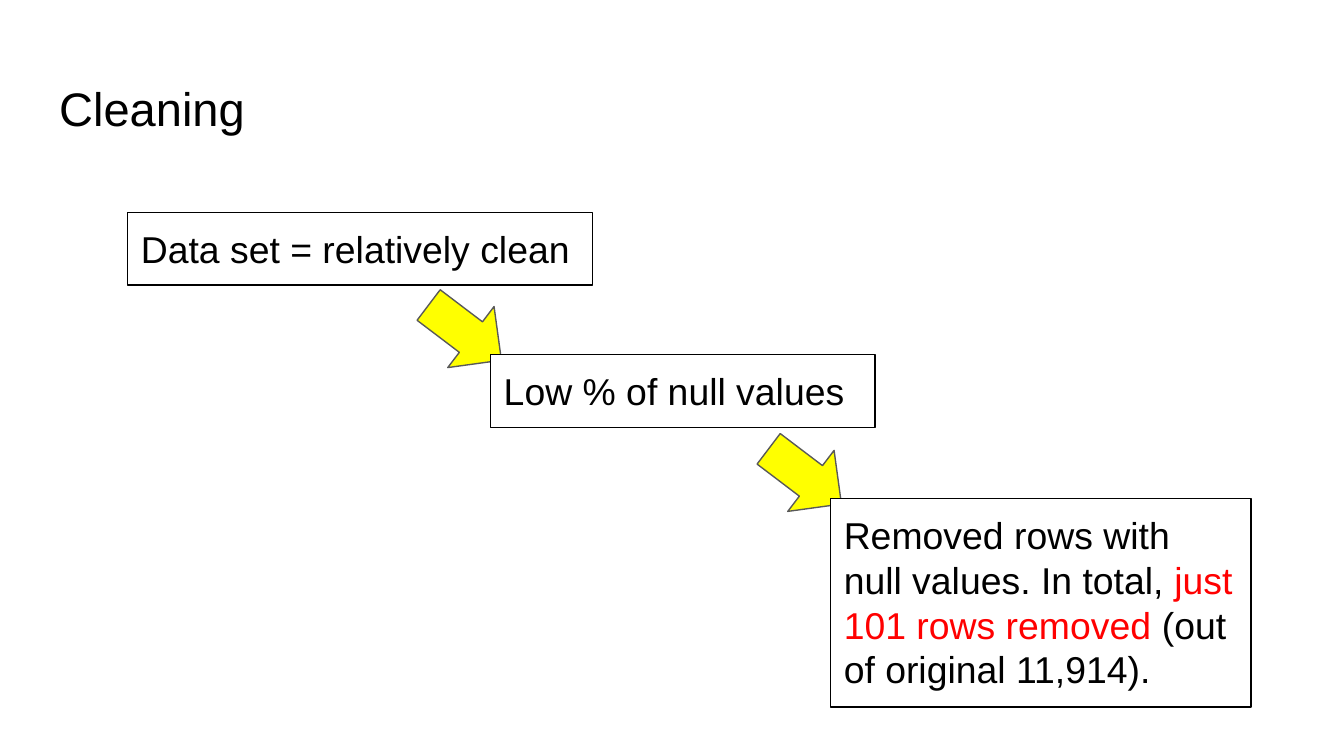
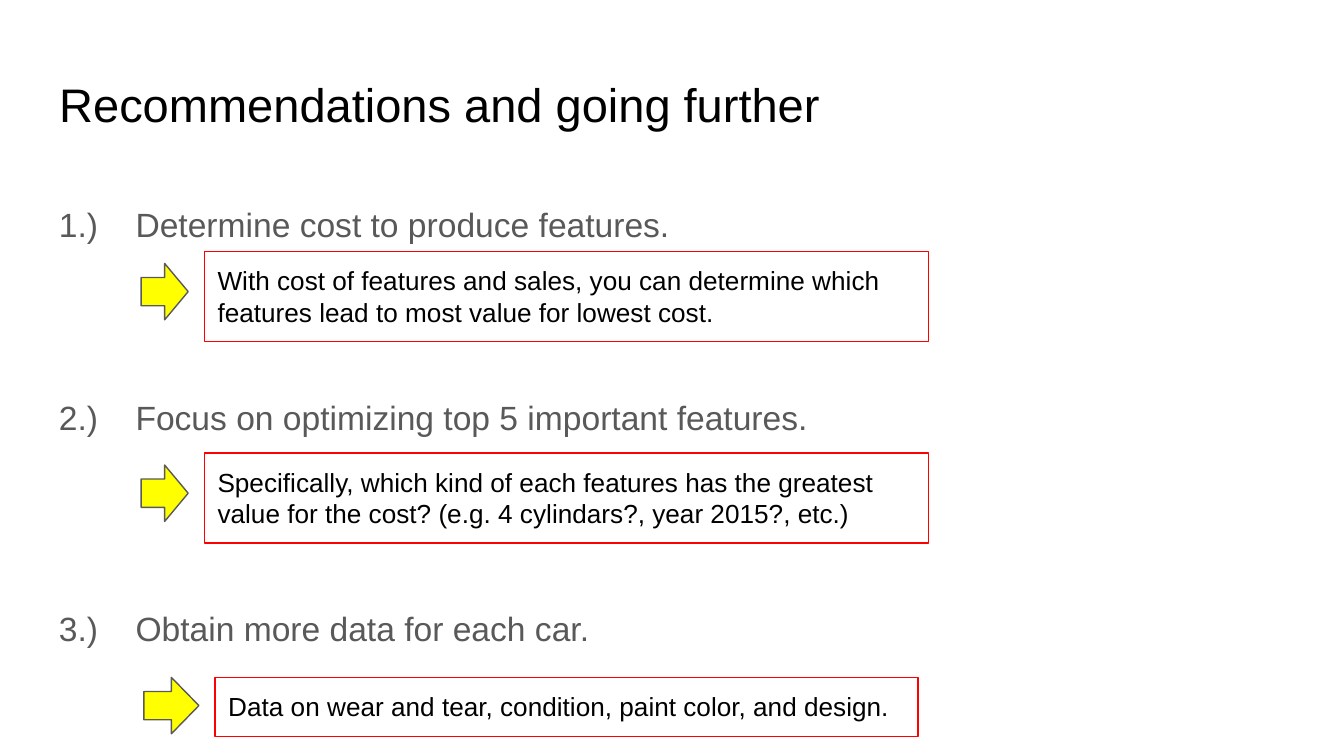
import pptx
import pptx.util
import pptx.dml.color
import pptx.enum.shapes
import pptx.enum.text

Inches = pptx.util.Inches
Pt = pptx.util.Pt
SHAPE = pptx.enum.shapes.MSO_SHAPE
ANCHOR = pptx.enum.text.MSO_ANCHOR
ALIGN = pptx.enum.text.PP_ALIGN

FONT = "Arial"
COLOURS = {
    "paper": "FFFFFF",
    "ink": "000000",
    "grey": "595959",
    "accent": "FF0000",
    "arrow": "FFFF00",
}
MARGIN = 0.34
INSET = 0.1
NUMBER_WIDTH = 0.57


def colour(name):
    """Return the named palette colour."""
    return pptx.dml.color.RGBColor.from_string(COLOURS[name])


def style_run(run, size, ink):
    """Give a run the deck font, a size and a colour."""
    run.font.name = FONT
    run.font.size = Pt(size)
    run.font.color.rgb = colour(ink)


def prepare_frame(frame, anchor=ANCHOR.TOP):
    """Apply the shared insets, wrapping and anchor to a text frame."""
    frame.word_wrap = True
    frame.auto_size = pptx.enum.text.MSO_AUTO_SIZE.NONE
    frame.vertical_anchor = anchor
    frame.margin_left = frame.margin_right = Inches(INSET)
    frame.margin_top = frame.margin_bottom = Inches(INSET)


def add_titled_slide(deck, text, top):
    """Add a title-only slide with its title at the given height."""
    slide = deck.slides.add_slide(deck.slide_layouts[5])
    slide.background.fill.solid()
    slide.background.fill.fore_color.rgb = colour("paper")
    title = slide.shapes.title
    title.left, title.top = Inches(MARGIN), Inches(top)
    title.width, title.height = Inches(9.32), Inches(0.63)
    title.text_frame.text = text
    prepare_frame(title.text_frame, ANCHOR.MIDDLE)
    paragraph = title.text_frame.paragraphs[0]
    paragraph.alignment = ALIGN.LEFT
    style_run(paragraph.runs[0], 25.2, "ink")
    return slide


def add_outlined(shapes, kind, box, line, fill=None):
    """Add a shape with a thin outline and an optional fill."""
    shape = shapes.add_shape(kind, *map(Inches, box))
    shape.shadow.inherit = False
    shape.line.color.rgb = colour(line)
    shape.line.width = Pt(0.75)
    if fill:
        shape.fill.solid()
        shape.fill.fore_color.rgb = colour(fill)
    else:
        shape.fill.background()
    return shape


def add_arrow(shapes, box, rotation=0):
    """Add a yellow arrow pointing right, turned by the rotation."""
    arrow = add_outlined(shapes, SHAPE.RIGHT_ARROW, box, "grey", "arrow")
    arrow.rotation = rotation


def add_note(shapes, box, pieces, size, line, fill=None):
    """Add a framed note built from (text, colour) pieces."""
    note = add_outlined(shapes, SHAPE.RECTANGLE, box, line, fill)
    prepare_frame(note.text_frame)
    paragraph = note.text_frame.paragraphs[0]
    paragraph.alignment = ALIGN.LEFT
    paragraph.line_spacing = Pt(size * 1.2)
    for text, ink in pieces:
        run = paragraph.add_run()
        run.text = text
        style_run(run, size, ink)


def add_step(slide, box, pieces):
    """Add a cleaning step with the arrow that leads to its top left corner."""
    left, top = box[:2]
    step = slide.shapes.add_group_shape().shapes
    add_arrow(step, (left - 0.53, top - 0.45, 0.68, 0.57), 37.2)
    add_note(step, box, pieces, 20, "ink", "paper")


def add_heading(slide, box, number, text, spacing):
    """Add a numbered recommendation whose number hangs at the slide margin."""
    heading = slide.shapes.add_textbox(*map(Inches, box))
    prepare_frame(heading.text_frame)
    heading.text_frame.text = f"{number}.)\t{text}"
    paragraph = heading.text_frame.paragraphs[0]
    paragraph.line_spacing = spacing
    properties = paragraph._p.get_or_add_pPr()
    properties.set("marL", str(Inches(MARGIN - box[0] + NUMBER_WIDTH)))
    properties.set("indent", str(-Inches(NUMBER_WIDTH)))
    style_run(paragraph.runs[0], 18, "grey")


def add_advice(slide, arrow_box, note_box, text):
    """Add an arrow and the red-framed advice it points to."""
    advice = slide.shapes.add_group_shape().shapes
    add_arrow(advice, arrow_box)
    add_note(advice, note_box, [(text, "ink")], 14, "accent")


def build_cleaning(deck):
    """Build the staircase of cleaning steps."""
    slide = add_titled_slide(deck, "Cleaning", 0.49)
    add_note(slide.shapes, (0.95, 1.58, 3.46, 0.54),
             [("Data set = relatively clean", "ink")], 20, "ink")
    add_step(slide, (3.65, 2.64, 2.86, 0.54), [("Low % of null values", "ink")])
    add_step(slide, (6.18, 3.71, 3.13, 1.55), [
        ("Removed rows with null values. In total, ", "ink"),
        ("just 101 rows removed", "accent"),
        (" (out of original 11,914).", "ink"),
    ])


def build_recommendations(deck):
    """Build the numbered recommendations with their advice."""
    slide = add_titled_slide(deck, "Recommendations and going further", 0.46)
    recommendations = [
        ((0.22, 1.37, 9.71, 0.55), 1.15, "Determine cost to produce features.",
         (1.05, 1.96, 0.35, 0.42), (1.52, 1.87, 5.39, 0.67),
         "With cost of features and sales, you can determine which features "
         "lead to most value for lowest cost."),
        ((MARGIN, 2.84, 9.49, 0.7), 1.05,
         "Focus on optimizing top 5 important features.",
         (1.05, 3.46, 0.35, 0.42), (1.52, 3.37, 5.39, 0.67),
         "Specifically, which kind of each features has the greatest value "
         "for the cost? (e.g. 4 cylindars?, year 2015?, etc.)"),
        ((MARGIN, 4.41, 9.49, 0.7), 1.05, "Obtain more data for each car.",
         (1.07, 5.04, 0.41, 0.42), (1.6, 5.04, 5.23, 0.44),
         "Data on wear and tear, condition, paint color, and design."),
    ]
    for number, (heading_box, spacing, heading, arrow_box, note_box, advice) in (
            enumerate(recommendations, 1)):
        add_heading(slide, heading_box, number, heading, spacing)
        add_advice(slide, arrow_box, note_box, advice)


def main():
    """Build and save a widescreen deck."""
    deck = pptx.Presentation()
    deck.slide_width = Inches(10)
    deck.slide_height = deck.slide_width * 9 // 16
    build_cleaning(deck)
    build_recommendations(deck)
    deck.save("out.pptx")


if __name__ == "__main__":
    main()
